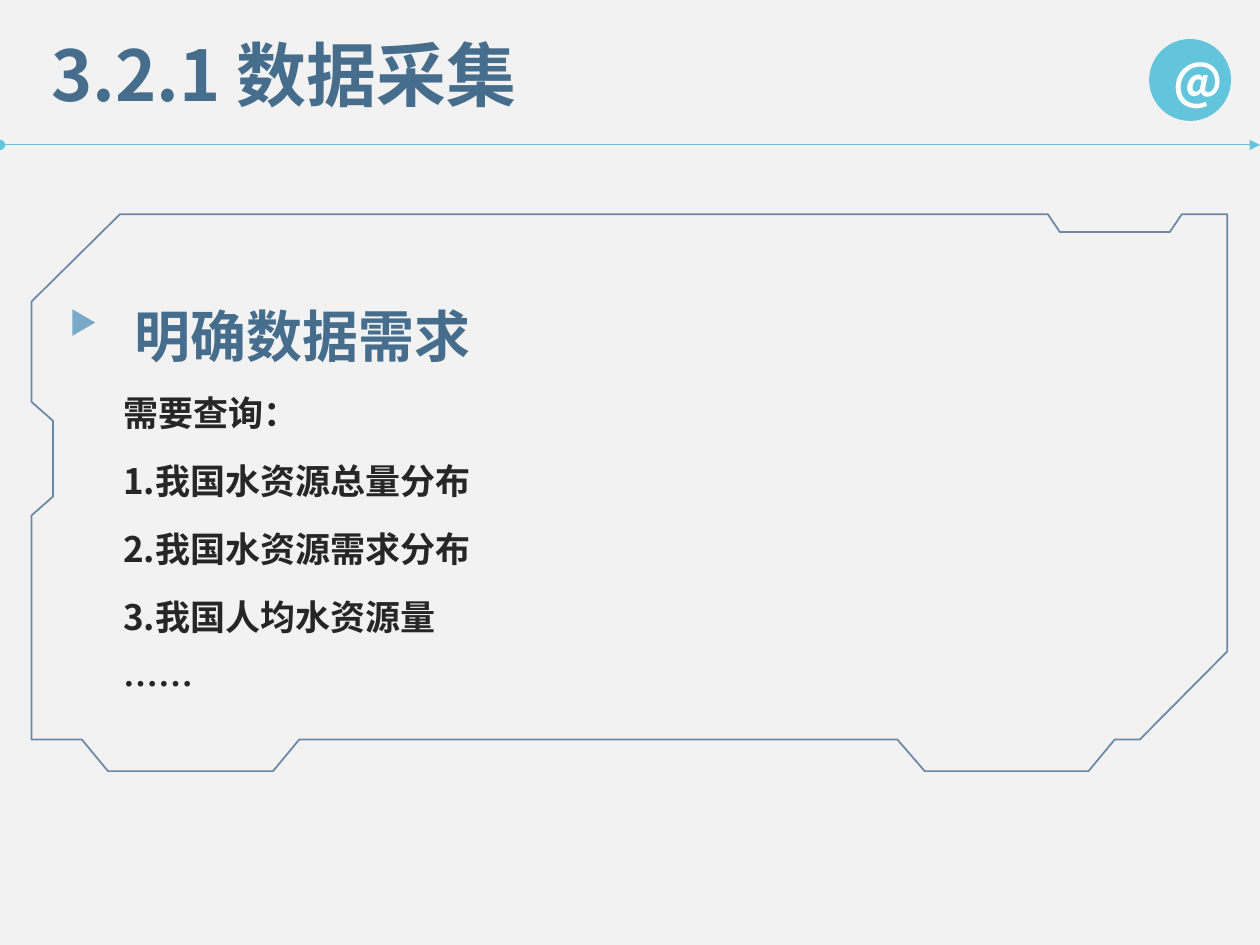
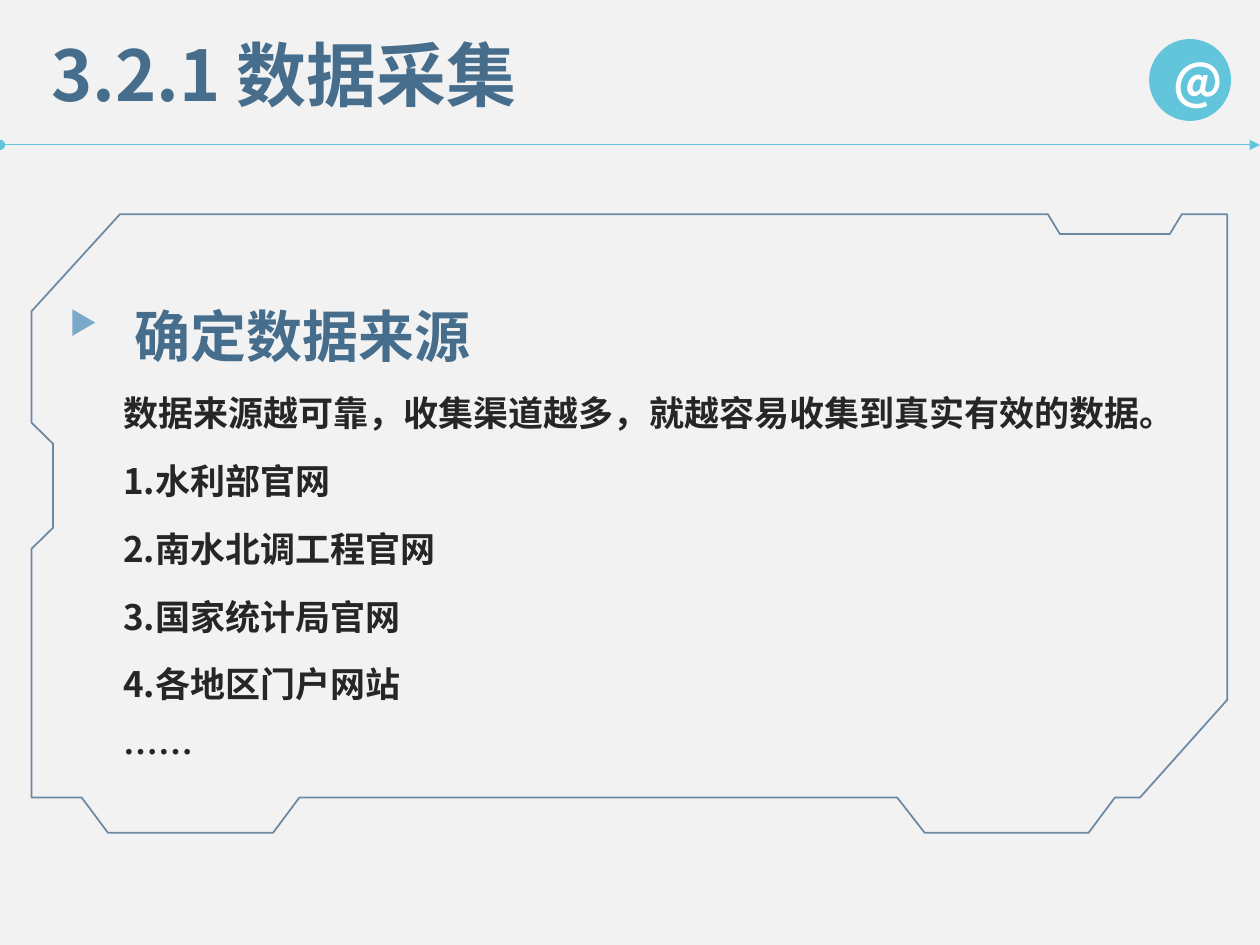
from lxml import etree
from pptx import Presentation
from pptx.dml.color import RGBColor
from pptx.enum.shapes import MSO_CONNECTOR, MSO_SHAPE
from pptx.enum.text import MSO_AUTO_SIZE, PP_ALIGN
from pptx.oxml.ns import qn
from pptx.util import Inches, Pt

LINE = MSO_CONNECTOR.STRAIGHT
OVAL = MSO_SHAPE.OVAL
ARROW = MSO_SHAPE.ISOSCELES_TRIANGLE
FIT = MSO_AUTO_SIZE.SHAPE_TO_FIT_TEXT
CENTER = PP_ALIGN.CENTER

WIDE, HIGH = 10, 7.5
FONT = "Noto Sans CJK SC"
PAPER, CYAN, STEEL = "F2F2F2", "62C5DC", "466E8C"
INK, WHITE, SKY, NAVY = "262626", "FFFFFF", "7BA9CA", "1F4E79"

TITLE = "3.2.1 数据采集"
PAGES = [
    ("明确数据需求", 4.42, [
        "需要查询：",
        "1.我国水资源总量分布",
        "2.我国水资源需求分布",
        "3.我国人均水资源量",
        "……",
    ]),
    ("确定数据来源", 4.91, [
        "数据来源越可靠，收集渠道越多，就越容易收集到真实有效的数据。",
        "1.水利部官网",
        "2.南水北调工程官网",
        "3.国家统计局官网",
        "4.各地区门户网站",
        "……",
    ]),
]

# Corners of the frame, in percent of its width and height
FRAME = [
    (7.4, 0), (85, 0), (86, 3.2), (95.2, 3.2), (96.2, 0), (100, 0),
    (100, 78.5), (92.7, 94.3), (90.6, 94.3), (88.4, 100), (74.7, 100),
    (72.4, 94.3), (22.4, 94.3), (20.2, 100), (6.4, 100), (4.2, 94.3),
    (0, 94.3), (0, 54.1), (1.8, 50.7), (1.8, 37.1), (0, 33.7), (0, 15.7),
]


def color(code):
    return RGBColor.from_string(code)


def child(node, tag, **attrs):
    return etree.SubElement(node, qn(tag), attrs)


def add_run(para, text, size, code):
    run = para.add_run()
    run.text = text
    font = run.font
    font.size, font.bold = Pt(size), True
    font.color.rgb = color(code)
    font.name = FONT
    child(font._element, "a:ea", typeface=FONT)


def add_text(slide, box, lines, size, code, space=1, after=0):
    frame = slide.shapes.add_textbox(*map(Inches, box)).text_frame
    frame.word_wrap, frame.auto_size = True, FIT
    for row, line in enumerate(lines):
        para = frame.add_paragraph() if row else frame.paragraphs[0]
        para.line_spacing, para.space_after = space, Pt(after)
        add_run(para, line, size, code)


def add_solid(slide, kind, box, code):
    shape = slide.shapes.add_shape(kind, *map(Inches, box))
    shape.shadow.inherit = False
    shape.fill.solid()
    shape.fill.fore_color.rgb = color(code)
    shape.line.fill.background()
    return shape


def add_rule(slide, top):
    rule = slide.shapes.add_connector(
        LINE, 0, Inches(top), Inches(WIDE), Inches(top))
    rule.line.color.rgb = color(CYAN)
    rule.line.width = Pt(0.5)
    edge = rule.line._get_or_add_ln()
    child(edge, "a:headEnd", type="oval")
    child(edge, "a:tailEnd", type="triangle")
    child(rule._element.spPr, "a:effectLst")


def add_frame(slide, left, top, wide, high):
    dots = [(Inches(left + wide * x / 100), Inches(top + high * y / 100))
            for x, y in FRAME]
    pen = slide.shapes.build_freeform(*dots[0])
    pen.add_line_segments(dots[1:], close=True)
    shape = pen.convert_to_shape()
    shape.shadow.inherit = False
    shape.fill.background()
    shape.line.color.rgb = color(NAVY)
    shape.line.width = Pt(1)
    tint = shape.line._get_or_add_ln().find(".//" + qn("a:srgbClr"))
    child(tint, "a:alpha", val="64000")


def add_header(slide):
    add_rule(slide, 1.15)
    badge = add_solid(slide, OVAL, (9.12, 0.31, 0.65, 0.65), CYAN)
    para = badge.text_frame.paragraphs[0]
    para.alignment = CENTER
    add_run(para, "@", 28, WHITE)
    add_text(slide, (0.31, 0.2, 6.94, 0.77), [TITLE], 40, STEEL)


def add_page(deck, head, high, lines):
    slide = deck.slides.add_slide(deck.slide_layouts[6])
    add_header(slide)
    add_text(slide, (0.97, 2.08, 6.22, 0.81), [head], 32, STEEL, 1.5)
    add_text(slide, (0.88, 2.99, 8.66, 0.54 * len(lines)), lines,
             20, INK, 1.2, 10)
    mark = add_solid(slide, ARROW, (0.56, 2.47, 0.21, 0.18), SKY)
    mark.rotation = 90
    add_frame(slide, 0.25, 1.7, 9.49, high)


def main():
    deck = Presentation()
    deck.slide_width, deck.slide_height = Inches(WIDE), Inches(HIGH)
    paper = deck.slide_master.background.fill
    paper.solid()
    paper.fore_color.rgb = color(PAPER)
    for page in PAGES:
        add_page(deck, *page)
    deck.save("out.pptx")


if __name__ == "__main__":
    main()
